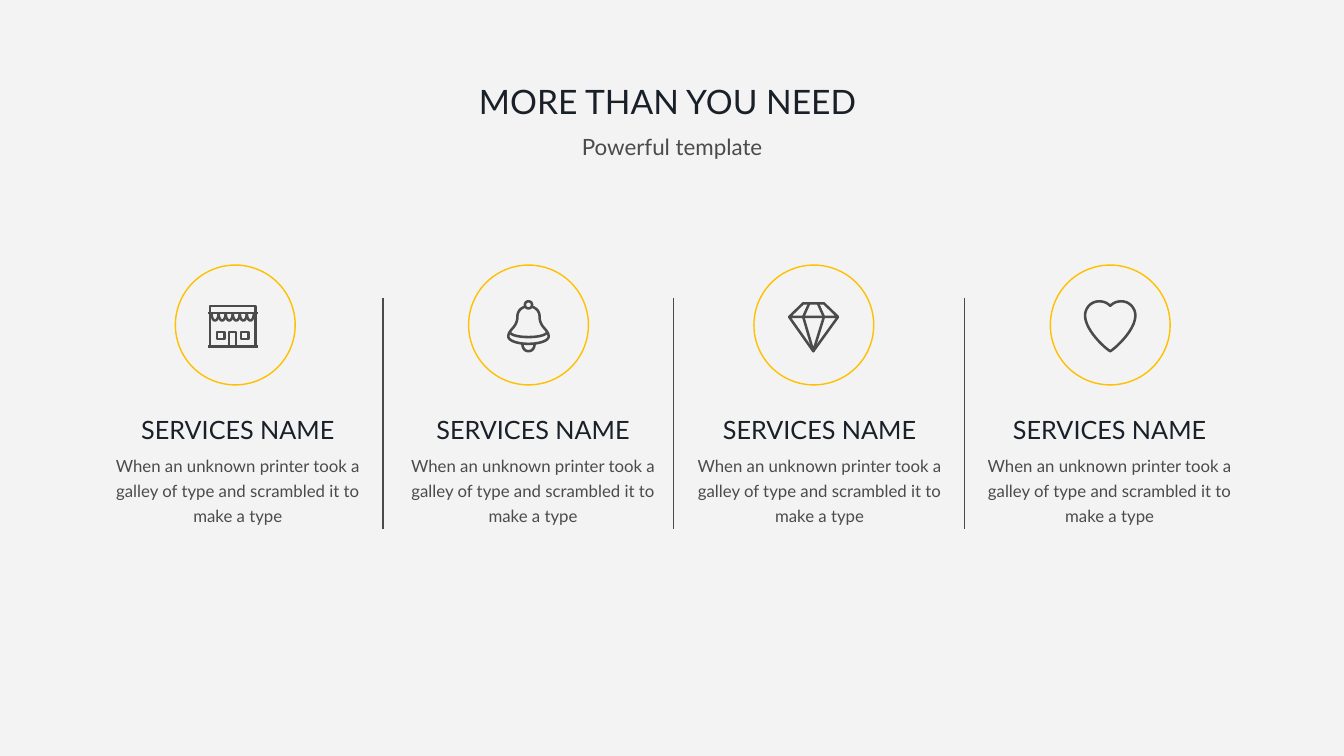
"""Build a slide with four services, each under a ringed line icon."""
from dataclasses import dataclass

from lxml.etree import SubElement
from pptx import Presentation
from pptx.dml.color import RGBColor as RGB
from pptx.enum.shapes import MSO_CONNECTOR as LINE, MSO_SHAPE as SHAPE
from pptx.enum.text import MSO_ANCHOR as ANCHOR, MSO_AUTO_SIZE as AUTO, PP_ALIGN as ALIGN
from pptx.oxml.ns import qn
from pptx.util import Cm, Pt

TITLE = "MORE THAN YOU NEED"
SUBTITLE = "Powerful template"
NAME = "SERVICES NAME"
DETAIL = "When an unknown printer took a galley of type and scrambled it to make a type"

# Strokes: a start point, then 2-value lines or 6-value Bezier curves.
SCALLOPS = [[(x, -12), (x, -2, x + 7, -2, x + 7, -12)]
            for x in (-23.5 + 7 * i for i in range(6))]
WINDOWS = [[(x, 7), (x + 7.5, 7), (x + 7.5, 14), (x, 14), (x, 7)] for x in (-18, 5.5)]
STORE = [
    [(-25, 21.5), (-25, -19), (20, -19), (20, 21.5)],
    [(-27.5, -12), (22.5, -12)],
    [(-27.5, 21.5), (22.5, 21.5)],
    [(-6, 21.5), (-6, 7), (1, 7), (1, 21.5)],
    *SCALLOPS,
    *WINDOWS,
]
BELL = [
    [(0, -23.5), (4.7, -23.5, 4.7, -16.5, 0, -16.5), (-4.7, -16.5, -4.7, -23.5, 0, -23.5)],
    [(-3.5, -18), (-8, -17, -11, -13, -11, -8.5), (-11, 3, -20, 4, -20, 11.5),
     (-20, 15.5, -11, 18.7, 0, 18.7), (11, 18.7, 20, 15.5, 20, 11.5),
     (20, 4, 11, 3, 11, -8.5), (11, -13, 8, -17, 3.5, -18)],
    [(-18, 8), (-14, 13.3, 14, 13.3, 18, 8)],
    [(-6, 19), (-6, 23, -3.5, 26, 0, 26), (3.5, 26, 6, 23, 6, 19)],
]
DIAMOND = [
    [(-24.5, -8), (-10.5, -21.5), (10, -21.5), (24, -8), (-0.5, 26), (-24.5, -8), (24, -8)],
    [(-4.5, -21.5), (-10.5, -8), (-0.5, 26), (10, -8), (4, -21.5)],
]
HEART = [
    [(0, -19), (-3, -22, -6.5, -23.5, -11, -23.5), (-19, -23.5, -25, -17, -25, -9),
     (-24.5, 6, -4, 24, 0, 26), (4, 24, 24.5, 6, 25, -9),
     (25, -17, 19, -23.5, 11, -23.5), (6.5, -23.5, 3, -22, 0, -19)],
]
SERVICES = [
    {"icon": STORE, "ring_x": 4.42, "text_x": 2.87},
    {"icon": BELL, "ring_x": 11.81, "text_x": 10.31},
    {"icon": DIAMOND, "ring_x": 19.0, "text_x": 17.53},
    {"icon": HEART, "ring_x": 26.47, "text_x": 24.84},
]
RING_Y, RING_SIZE = 6.68, 3.02
NAME_Y, NAME_W, NAME_H = 10.44, 4.98, 0.76
DETAIL_Y, DETAIL_W, DETAIL_H = 11.35, 6.25, 1.4
DIVIDER_X, DIVIDER_STEP, DIVIDER_TOP, DIVIDER_BOTTOM = 9.65, 7.33, 7.52, 13.34
ICON_UNIT = 0.0254
CURVE_STEPS = 12


@dataclass(frozen=True)
class Theme:
    """Colours, font and sizes of the slide."""
    back: RGB = RGB(0xF3, 0xF3, 0xF3)
    dark: RGB = RGB(0x1A, 0x20, 0x28)
    grey: RGB = RGB(0x4B, 0x4B, 0x4B)
    gold: RGB = RGB(0xFF, 0xC0, 0x00)
    font: str = "Lato"
    title: Pt = Pt(24)
    name: Pt = Pt(18)
    subtitle: Pt = Pt(16)
    detail: Pt = Pt(12)
    hairline: Pt = Pt(1)
    icon: Pt = Pt(1.8)


THEME = Theme()
FRAME = {"margin_left": 0, "margin_top": 0, "margin_right": 0, "margin_bottom": 0,
         "word_wrap": True, "auto_size": AUTO.NONE, "vertical_anchor": ANCHOR.TOP}


def apply(target, values):
    """Set each named attribute on the target."""
    for key, value in values.items():
        setattr(target, key, value)


def write(sp, text, size, color, align=ALIGN.CENTER, spacing=1.0):
    """Put one formatted paragraph in a shape."""
    tf = sp.text_frame
    apply(tf, FRAME)
    p = tf.paragraphs[0]
    apply(p, {"alignment": align, "line_spacing": spacing, "space_before": Pt(0)})
    r = p.add_run()
    r.text = text
    apply(r.font, {"name": THEME.font, "size": size, "bold": False})
    r.font.color.rgb = color


def place(sp, left, top, width, height):
    """Move and size a placeholder, in centimetres."""
    apply(sp, {"left": Cm(left), "top": Cm(top), "width": Cm(width), "height": Cm(height)})


def outline(sp, color, width):
    """Give a shape a line only."""
    sp.shadow.inherit = False
    sp.fill.background()
    sp.line.color.rgb = color
    sp.line.width = width


def trace(stroke):
    """Turn lines and Bezier curves into a list of points."""
    points = [stroke[0]]
    for part in stroke[1:]:
        if len(part) == 2:
            points.append(part)
            continue
        x0, y0 = points[-1]
        x1, y1, x2, y2, x3, y3 = part
        for i in range(1, CURVE_STEPS + 1):
            t = i / CURVE_STEPS
            u = 1 - t
            a, b, c, d = u ** 3, 3 * u * u * t, 3 * u * t * t, t ** 3
            points.append((a * x0 + b * x1 + c * x2 + d * x3,
                           a * y0 + b * y1 + c * y2 + d * y3))
    return points


def draw_icon(shapes, strokes, center_x, center_y):
    """Draw the strokes around a centre as one freeform."""
    paths = [[(Cm(center_x + x * ICON_UNIT), Cm(center_y + y * ICON_UNIT))
              for x, y in trace(stroke)] for stroke in strokes]
    pen = shapes.build_freeform(*paths[0][0])
    for i, path in enumerate(paths):
        if i:
            pen.move_to(*path[0])
        pen.add_line_segments(path[1:], close=path[0] == path[-1])
    outline(pen.convert_to_shape(), THEME.grey, THEME.icon)


def add_service(shapes, icon, ring_x, text_x):
    """Add the ring, icon, name and detail of one service."""
    ring = shapes.add_shape(SHAPE.OVAL, Cm(ring_x), Cm(RING_Y), Cm(RING_SIZE), Cm(RING_SIZE))
    outline(ring, THEME.gold, THEME.hairline)
    draw_icon(shapes, icon, ring_x + RING_SIZE / 2, RING_Y + RING_SIZE / 2)
    name_x = text_x + (DETAIL_W - NAME_W) / 2
    name = shapes.add_textbox(Cm(name_x), Cm(NAME_Y), Cm(NAME_W), Cm(NAME_H))
    write(name, NAME, THEME.name, THEME.dark)
    detail = shapes.add_textbox(Cm(text_x), Cm(DETAIL_Y), Cm(DETAIL_W), Cm(DETAIL_H))
    write(detail, DETAIL, THEME.detail, THEME.grey, spacing=1.25)


def add_divider(shapes, x):
    """Add one upright line between services."""
    line = shapes.add_connector(LINE.STRAIGHT, Cm(x), Cm(DIVIDER_TOP), Cm(x), Cm(DIVIDER_BOTTOM))
    line.line.color.rgb = THEME.grey
    line.line.width = THEME.hairline
    SubElement(line._element.spPr, qn("a:effectLst"))


def main():
    """Build and save the slide."""
    prs = Presentation()
    prs.slide_width, prs.slide_height = Cm(33.87), Cm(19.05)
    s = prs.slides.add_slide(prs.slide_layouts[0])
    s.background.fill.solid()
    s.background.fill.fore_color.rgb = THEME.back
    title, subtitle = s.placeholders
    place(title, 12.07, 2.03, 9.75, 1.02)
    write(title, TITLE, THEME.title, THEME.dark, ALIGN.LEFT)
    place(subtitle, 14.58, 3.35, 4.72, 0.69)
    write(subtitle, SUBTITLE, THEME.subtitle, THEME.grey)
    for i in range(len(SERVICES) - 1):
        add_divider(s.shapes, DIVIDER_X + i * DIVIDER_STEP)
    for service in SERVICES:
        add_service(s.shapes, **service)
    prs.save("out.pptx")


if __name__ == "__main__":
    main()
